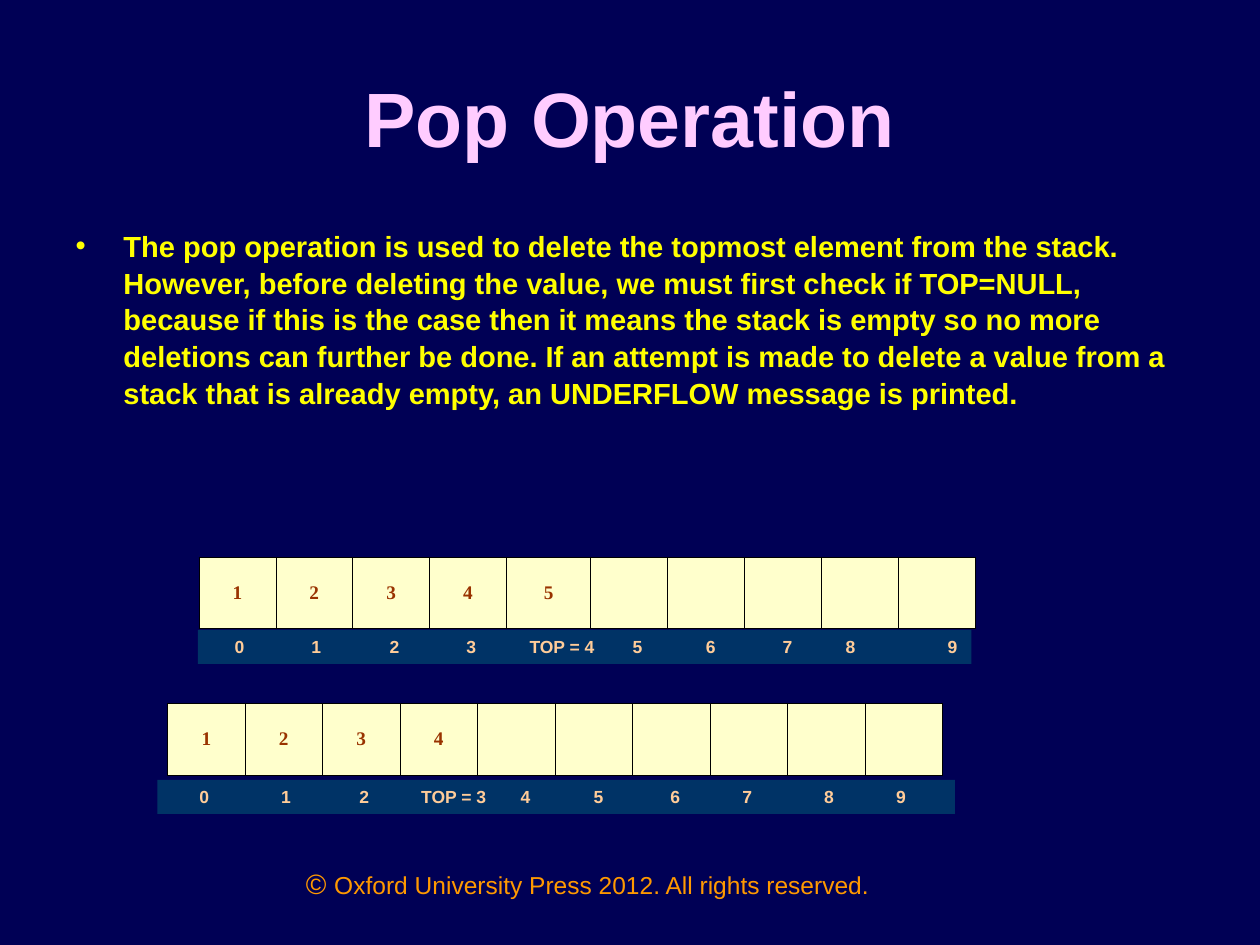
from lxml import etree
from pptx import Presentation
from pptx.dml.color import RGBColor
from pptx.enum.shapes import MSO_SHAPE
from pptx.enum.text import MSO_ANCHOR, MSO_AUTO_SIZE, PP_ALIGN
from pptx.oxml.ns import qn
from pptx.util import Inches, Pt

NAVY = RGBColor(0x00, 0x00, 0x55)
PINK = RGBColor(0xFF, 0xCC, 0xFF)
YELLOW = RGBColor(0xFF, 0xFF, 0x00)
ORANGE = RGBColor(0xFF, 0x99, 0x00)
CREAM = RGBColor(0xFF, 0xFF, 0xCC)
BROWN = RGBColor(0x99, 0x33, 0x00)
TEAL = RGBColor(0x00, 0x33, 0x66)
PEACH = RGBColor(0xFF, 0xCC, 0x99)
BLACK = RGBColor(0x00, 0x00, 0x00)

POP_TEXT = (
    "The pop operation is used to delete the topmost element from the stack. "
    "However, before deleting the value, we must first check if TOP=NULL, "
    "because if this is the case then it means the stack is empty so no more "
    "deletions can further be done. If an attempt is made to delete a value "
    "from a stack that is already empty, an UNDERFLOW message is printed."
)


class StackSlide:
    TITLE = dict(name="Arial", size=Pt(44), bold=True, color=PINK)
    BODY = dict(name="Arial", size=Pt(16.6), bold=True, color=YELLOW)
    VALUE = dict(name="Times New Roman", size=Pt(11), bold=True, color=BROWN)
    INDEX = dict(name="Arial", size=Pt(10), bold=True, color=PEACH)
    SYMBOL = dict(name="Arial", size=Pt(16), bold=False, color=ORANGE)
    NOTICE = dict(SYMBOL, size=Pt(14))

    def __init__(self, deck):
        self.slide = deck.slides.add_slide(deck.slide_layouts[1])
        background = self.slide.background.fill
        background.solid()
        background.fore_color.rgb = NAVY

    def style(self, font, look):
        for key, value in look.items():
            if key == "color":
                font.color.rgb = value
            else:
                setattr(font, key, value)

    def place(self, shape, left, top, width, height):
        box = dict(left=left, top=top, width=width, height=height)
        for side, length in box.items():
            setattr(shape, side, Inches(length))

    def title(self, text, *box):
        heading = self.slide.shapes.title
        self.place(heading, *box)
        frame = heading.text_frame
        frame.text = text
        frame.auto_size = MSO_AUTO_SIZE.NONE
        frame.vertical_anchor = MSO_ANCHOR.MIDDLE
        frame.paragraphs[0].alignment = PP_ALIGN.CENTER
        self.style(frame.paragraphs[0].runs[0].font, self.TITLE)

    def bullet(self, text, *box):
        body = self.slide.placeholders[1]
        self.place(body, *box)
        frame = body.text_frame
        frame.text = text
        frame.auto_size = MSO_AUTO_SIZE.NONE
        paragraph = frame.paragraphs[0]
        paragraph.space_before = Pt(0)
        paragraph.line_spacing = 1.05
        properties = paragraph._p.get_or_add_pPr()
        properties.set("marL", str(Inches(0.38)))
        properties.set("indent", str(-Inches(0.38)))
        etree.SubElement(properties, qn("a:buChar"), char="•")
        self.style(paragraph.runs[0].font, self.BODY)

    def cell_borders(self, cell):
        properties = cell._tc.get_or_add_tcPr()
        for position, side in enumerate(("lnL", "lnR", "lnT", "lnB")):
            border = etree.Element(qn(f"a:{side}"), w=str(Pt(0.45)))
            fill = etree.SubElement(border, qn("a:solidFill"))
            etree.SubElement(fill, qn("a:srgbClr"), val=str(BLACK))
            properties.insert(position, border)

    def stack(self, values, left, top, widths, height=0.57):
        table = self.slide.shapes.add_table(
            1, len(widths), Inches(left), Inches(top),
            Inches(sum(widths)), Inches(height)).table
        table.first_row = table.horz_banding = False
        table.rows[0].height = Inches(height)
        for column, width in enumerate(widths):
            table.columns[column].width = Inches(width)
            cell = table.cell(0, column)
            cell.fill.solid()
            cell.fill.fore_color.rgb = CREAM
            cell.vertical_anchor = MSO_ANCHOR.MIDDLE
            self.cell_borders(cell)
            if column < len(values):
                cell.text = values[column]
                paragraph = cell.text_frame.paragraphs[0]
                paragraph.alignment = PP_ALIGN.CENTER
                self.style(paragraph.runs[0].font, self.VALUE)

    def index_bar(self, labels, centres, left, top, width, height=0.27):
        """Centre each label on its own tab stop, measured from the bar's left."""
        bar = self.slide.shapes.add_shape(
            MSO_SHAPE.RECTANGLE, Inches(left), Inches(top),
            Inches(width), Inches(height))
        bar.shadow.inherit = False
        bar.fill.solid()
        bar.fill.fore_color.rgb = TEAL
        bar.line.fill.background()
        frame = bar.text_frame
        frame.margin_left = frame.margin_right = 0
        frame.word_wrap = True
        frame.vertical_anchor = MSO_ANCHOR.MIDDLE
        frame.text = "".join(f"\t{label}" for label in labels)
        paragraph = frame.paragraphs[0]
        paragraph.alignment = PP_ALIGN.LEFT
        stops = etree.SubElement(paragraph._p.get_or_add_pPr(), qn("a:tabLst"))
        for centre in centres:
            etree.SubElement(stops, qn("a:tab"), pos=str(Inches(centre)), algn="ctr")
        self.style(paragraph.runs[0].font, self.INDEX)

    def copyright(self, symbol, notice, *box):
        footer = self.slide.shapes.add_textbox(*map(Inches, box))
        frame = footer.text_frame
        frame.word_wrap = True
        paragraph = frame.paragraphs[0]
        paragraph.alignment = PP_ALIGN.CENTER
        for text, look in ((symbol, self.SYMBOL), (notice, self.NOTICE)):
            run = paragraph.add_run()
            run.text = text
            self.style(run.font, look)


def main():
    deck = Presentation()
    deck.slide_width, deck.slide_height = Inches(10), Inches(7.5)
    page = StackSlide(deck)
    page.copyright("© ", "Oxford University Press 2012. All rights reserved.",
                   2, 6.83, 5.33, 0.52)
    page.title("Pop Operation", 0.5, 0.3, 9, 1.25)
    page.bullet(POP_TEXT, 0.5, 1.75, 9, 1.88)

    page.stack("12345", 1.58, 4.42, [0.61] * 4 + [0.67] + [0.61] * 5)
    page.index_bar(
        ["0", "1", "2", "3", "TOP = 4", "5", "6", "7", "8", "9"],
        [0.33, 0.94, 1.56, 2.17, 2.89, 3.49, 4.07, 4.68, 5.18, 5.99],
        1.57, 5, 6.14)

    page.stack("1234", 1.33, 5.58, [0.615] * 10)
    page.index_bar(
        ["0", "1", "2", "TOP = 3", "4", "5", "6", "7", "8", "9"],
        [0.37, 1.02, 1.64, 2.35, 2.92, 3.5, 4.11, 4.68, 5.33, 5.9],
        1.25, 6.19, 6.33)
    deck.save("out.pptx")


if __name__ == "__main__":
    main()
